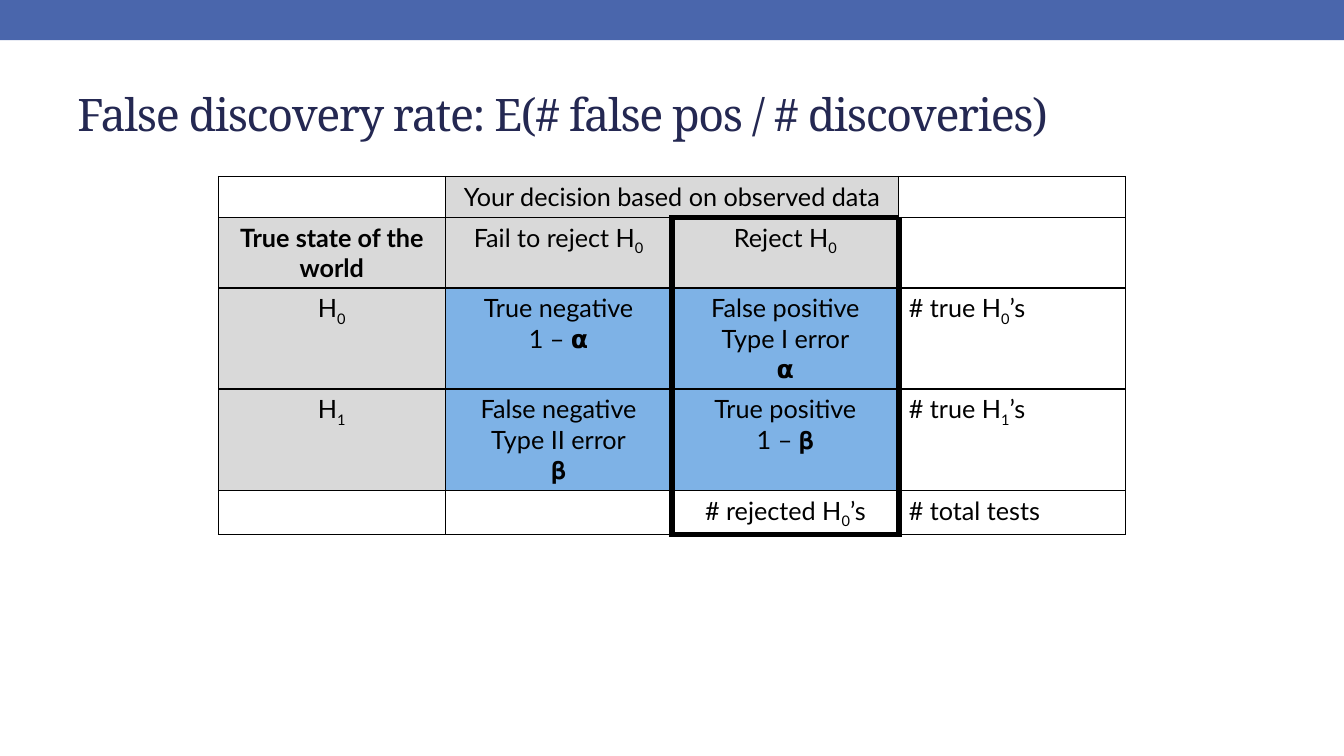
from lxml import etree
from pptx import Presentation
from pptx.dml.color import RGBColor
from pptx.enum import shapes, text
from pptx.oxml import ns
from pptx.util import Pt

COLORS = {"bar": "4A66AC", "title": "242852", "ink": "000000",
          "plain": "FFFFFF", "heading": "D9D9D9", "outcome": "7EB2E6"}
TITLE_FORMAT = {"name": "Noto Serif", "size": Pt(32), "bold": False}
CELL_FORMAT = {"name": "Lato", "size": Pt(18), "bold": False}
SLIDE_WIDTH, SLIDE_HEIGHT = 960, 540
ROW_HEIGHTS = [29.3, 50, 72.2, 72.2, 31.8]
REJECT_COLUMN = 2
DECISIONS = [
    ["", "Your decision based on observed data", "", ""],
    ["True state of the world", "Fail to reject H_0", "Reject H_0", ""],
    ["H_0", "True negative\n1 – 𝝰", "False positive\nType I error\n𝝰", "# true H_0’s"],
    ["H_1", "False negative\nType II error\n𝛃", "True positive\n1 – 𝛃", "# true H_1’s"],
    ["", "", "# rejected H_0’s", "# total tests"],
]
FILLS = [
    ["plain", "heading", "heading", "plain"],
    ["heading", "heading", "heading", "plain"],
    ["heading", "outcome", "outcome", "plain"],
    ["heading", "outcome", "outcome", "plain"],
    ["plain", "plain", "plain", "plain"],
]


def rgb(name):
    return RGBColor.from_string(COLORS[name])


def format_font(font, values, color):
    for key, value in values.items():
        setattr(font, key, value)
    font.color.rgb = rgb(color)


def add_bar(slide, left, top, width, height):
    bar = slide.shapes.add_shape(shapes.MSO_SHAPE.RECTANGLE,
                                 Pt(left), Pt(top), Pt(width), Pt(height))
    bar.shadow.inherit = False
    bar.fill.solid()
    bar.fill.fore_color.rgb = rgb("bar")
    bar.line.fill.background()


def place_title(slide, left, top, width, height):
    title = slide.shapes.title
    box = {"left": left, "top": top, "width": width, "height": height}
    for key, value in box.items():
        setattr(title, key, Pt(value))
    frame = title.text_frame
    frame.text = "False discovery rate: E(# false pos / # discoveries)"
    frame_format = {"word_wrap": True, "auto_size": text.MSO_AUTO_SIZE.NONE,
                    "vertical_anchor": text.MSO_ANCHOR.MIDDLE}
    for key, value in frame_format.items():
        setattr(frame, key, value)
    heading = frame.paragraphs[0]
    heading.alignment = text.PP_ALIGN.LEFT
    format_font(heading.runs[0].font, TITLE_FORMAT, "title")
    heading.runs[0].font._element.set("spc", "-100")


def set_borders(cell, row, column):
    last_row = len(DECISIONS) - 1
    thick = {
        "L": row > 0 and column in (REJECT_COLUMN, REJECT_COLUMN + 1),
        "R": row > 0 and column in (REJECT_COLUMN - 1, REJECT_COLUMN),
        "T": row == 1 and column == REJECT_COLUMN,
        "B": row == last_row and column == REJECT_COLUMN,
    }
    properties = cell._tc.get_or_add_tcPr()
    for side, is_thick in thick.items():
        border = etree.SubElement(properties, ns.qn(f"a:ln{side}"),
                                  w=str(Pt(4.5 if is_thick else 1)))
        ink = etree.SubElement(border, ns.qn("a:solidFill"))
        etree.SubElement(ink, ns.qn("a:srgbClr"), val=COLORS["ink"])


def add_part(paragraph, wording, bold, subscript=False):
    if not wording:
        return
    part = paragraph.add_run()
    part.text = wording
    format_font(part.font, {**CELL_FORMAT, "bold": bold}, "ink")
    if subscript:
        part.font._element.set("baseline", "-25000")


def write_cell(cell, wording, alignment, bold):
    frame = cell.text_frame
    for index, line in enumerate(wording.split("\n")):
        paragraph = frame.add_paragraph() if index else frame.paragraphs[0]
        paragraph.alignment = alignment
        format_font(paragraph.font, CELL_FORMAT, "ink")
        start, *rest = line.split("_")
        add_part(paragraph, start, bold)
        for piece in rest:
            add_part(paragraph, piece[0], bold, subscript=True)
            add_part(paragraph, piece[1:], bold)


def add_decision_table(slide, left, top, width):
    column_count = len(DECISIONS[0])
    table = slide.shapes.add_table(len(DECISIONS), column_count, Pt(left), Pt(top),
                                   Pt(width), Pt(sum(ROW_HEIGHTS))).table
    for key in ("first_row", "horz_banding"):
        setattr(table, key, False)
    for column in table.columns:
        column.width = Pt(width / column_count)
    for row, height in zip(table.rows, ROW_HEIGHTS):
        row.height = Pt(height)
    table.cell(0, 1).merge(table.cell(0, REJECT_COLUMN))
    for r, wordings in enumerate(DECISIONS):
        for c, wording in enumerate(wordings):
            cell = table.cell(r, c)
            set_borders(cell, r, c)
            cell.fill.solid()
            cell.fill.fore_color.rgb = rgb(FILLS[r][c])
            is_total = c == column_count - 1
            alignment = text.PP_ALIGN.LEFT if is_total else text.PP_ALIGN.CENTER
            write_cell(cell, wording, alignment, bold=(r, c) == (1, 0))


def main():
    deck = Presentation()
    deck.slide_width, deck.slide_height = Pt(SLIDE_WIDTH), Pt(SLIDE_HEIGHT)
    slide = deck.slides.add_slide(deck.slide_layouts.get_by_name("Title Only"))
    add_bar(slide, 0, 0, SLIDE_WIDTH, 28.8)
    place_title(slide, 48, 42, 864, 78)
    add_decision_table(slide, 156, 126, 648)
    deck.save("out.pptx")


if __name__ == "__main__":
    main()
